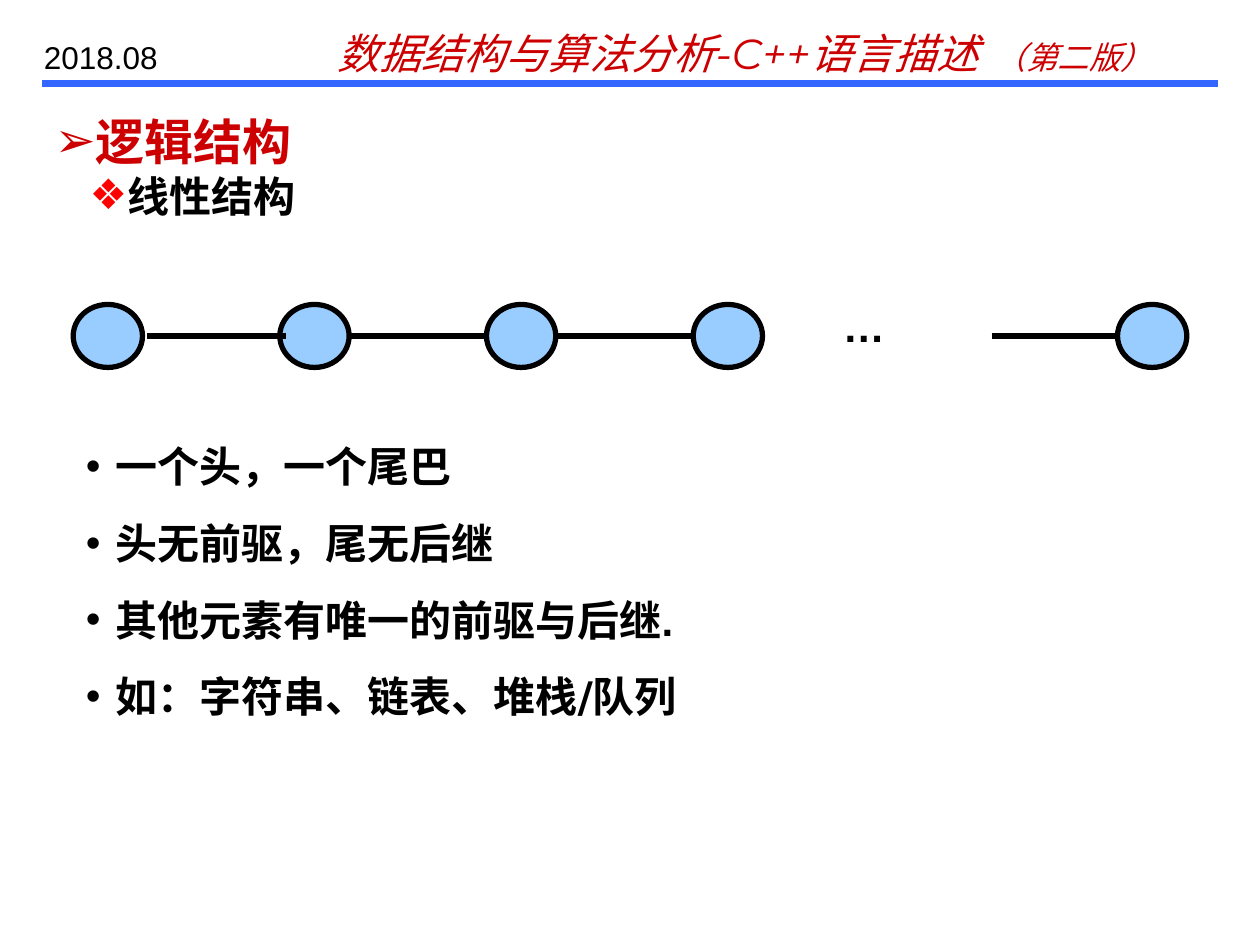
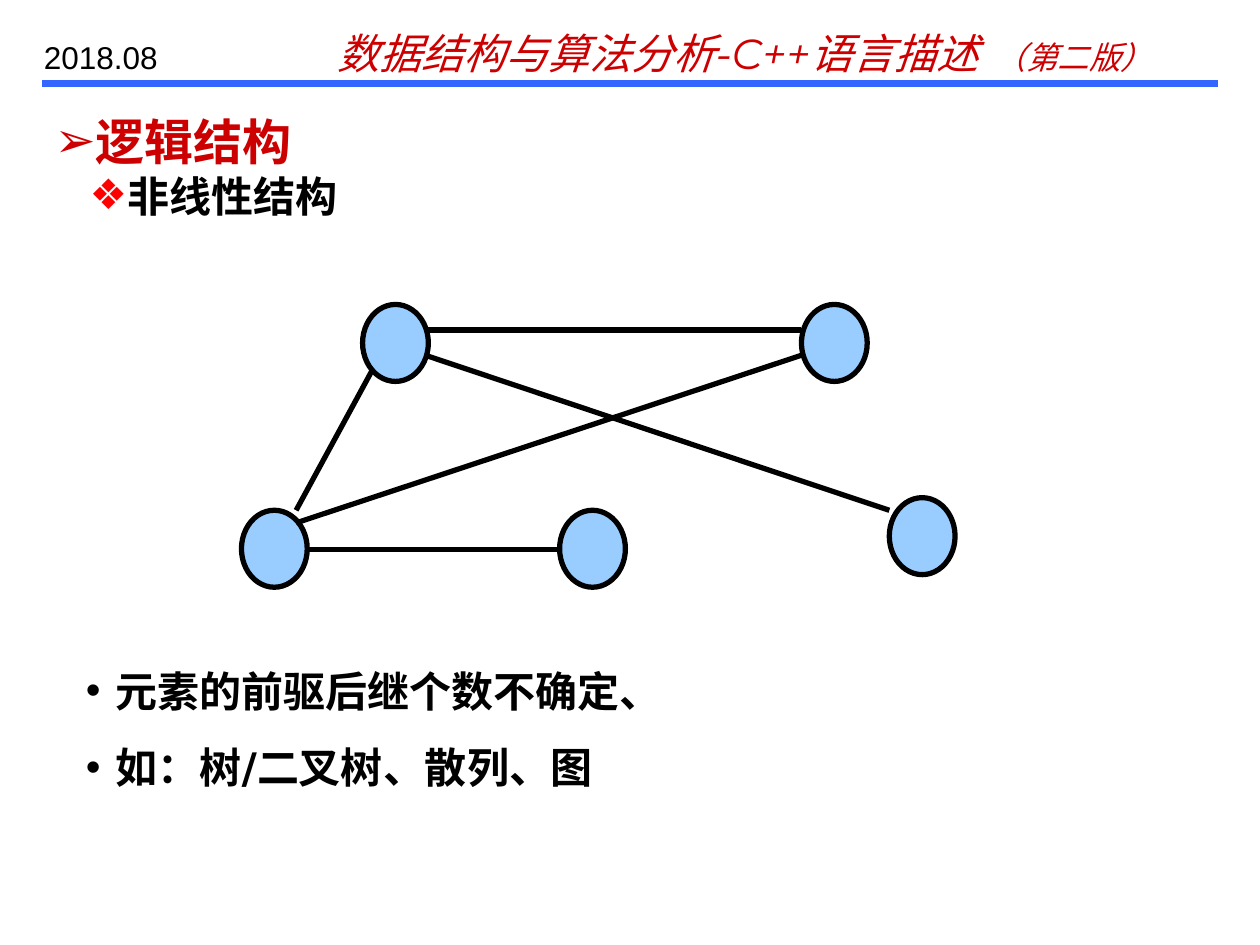
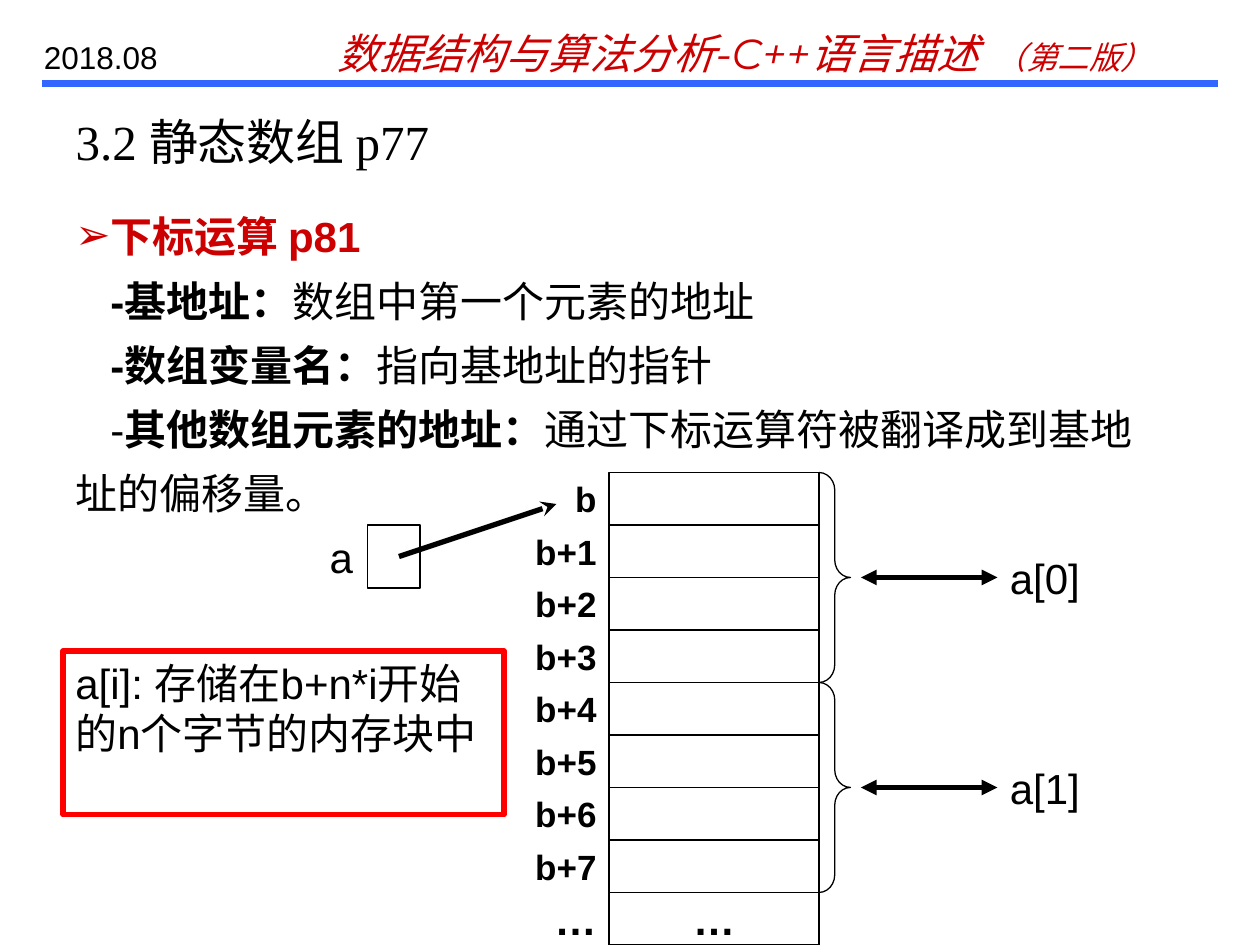
from pptx import Presentation
from pptx.dml.color import RGBColor
from pptx.enum.shapes import MSO_CONNECTOR, MSO_SHAPE
from pptx.enum.text import MSO_ANCHOR, MSO_AUTO_SIZE, PP_ALIGN
from pptx.oxml.ns import qn
from pptx.util import Pt
from lxml.etree import SubElement

BLACK, RED, BRIGHT_RED = "000000", "CC0000", "FF0000"
BLUE, NODE_FILL = "3366FF", "99CCFF"
SYMBOL_FONT = "DejaVu Sans"

# Text formats
PLAIN = dict(size=Pt(24), name="Arial", color=BLACK)
BOLD = dict(PLAIN, bold=True)
BOLD_ALT = dict(BOLD, name=SYMBOL_FONT)
HEADING = dict(BOLD_ALT, size=Pt(28), color=RED)
SECTION = dict(PLAIN, size=Pt(28), name="Times New Roman")
SMALL_BOLD = dict(BOLD, size=Pt(20))
DATE = dict(PLAIN, size=Pt(18))
COURSE = dict(PLAIN, name="Montserrat", color=RED, italic=True)
EDITION = dict(COURSE, size=Pt(18))

# Bullets: character, colour, font, text indent, hanging width
ARROW_LARGE = ("➢", RED, SYMBOL_FONT, 23, 23)
ARROW_SMALL = ("➢", RED, SYMBOL_FONT, 20, 20)
DIAMOND = ("❖", BRIGHT_RED, SYMBOL_FONT, 40, 20)
DOT = ("•", BLACK, "Arial", 17, 17)


def rgb(value):
    return RGBColor.from_string(value)


def box_size(left, top, width, height):
    return Pt(left), Pt(top), Pt(width), Pt(height)


# Text
def add_bullet(para, bullet):
    char, color, font, indent, hanging = bullet
    props = para._p.get_or_add_pPr()
    props.set("marL", str(Pt(indent)))
    props.set("indent", str(-Pt(hanging)))
    SubElement(SubElement(props, qn("a:buClr")), qn("a:srgbClr"), val=color)
    SubElement(props, qn("a:buFont"), typeface=font)
    SubElement(props, qn("a:buChar"), char=char)


def add_spans(para, spans):
    for text, style in spans:
        span = para.add_run()
        span.text = text
        for key, value in style.items():
            if key == "color":
                span.font.color.rgb = rgb(value)
            else:
                setattr(span.font, key, value)


def fill_text(shape, paras, anchor=MSO_ANCHOR.TOP, align=PP_ALIGN.LEFT):
    """Each paragraph is (spans, settings); settings hold bullet, first_indent
    and paragraph attributes."""
    frame = shape.text_frame
    settings = dict(word_wrap=True, auto_size=MSO_AUTO_SIZE.NONE, vertical_anchor=anchor)
    for key, value in settings.items():
        setattr(frame, key, value)
    for index, (spans, layout) in enumerate(paras):
        para = frame.add_paragraph() if index else frame.paragraphs[0]
        para.alignment = align
        for key, value in layout.items():
            if key == "bullet":
                add_bullet(para, value)
            elif key == "first_indent":
                para._p.get_or_add_pPr().set("indent", str(value))
            else:
                setattr(para, key, value)
        add_spans(para, spans)


def add_text(page, area, paras, **options):
    box = page.shapes.add_textbox(*box_size(*area))
    fill_text(box, paras, **options)
    return box


def add_label(page, area, text, style, **options):
    return add_text(page, area, [([(text, style)], {})], **options)


def set_title(page, area, paras):
    title = page.shapes.title
    title.left, title.top, title.width, title.height = box_size(*area)
    fill_text(title, paras)


def add_points(page, area, points):
    layout = dict(space_before=Pt(15), bullet=DOT)
    add_text(page, area, [(spans, layout) for spans in points])


# Shapes and lines
def add_figure(page, kind, area, line=BLACK, width=0.75, fill=None):
    shape = page.shapes.add_shape(kind, *box_size(*area))
    shape.shadow.inherit = False
    if fill:
        shape.fill.solid()
        shape.fill.fore_color.rgb = rgb(fill)
    else:
        shape.fill.background()
    shape.line.color.rgb = rgb(line)
    shape.line.width = Pt(width)
    return shape


def add_node(page, left, top, width, height):
    add_figure(page, MSO_SHAPE.OVAL, (left, top, width, height), width=3, fill=NODE_FILL)


def add_line(page, start_x, start_y, end_x, end_y, color=BLACK, width=3, head=None, tail=None):
    line = page.shapes.add_connector(
        MSO_CONNECTOR.STRAIGHT, Pt(start_x), Pt(start_y), Pt(end_x), Pt(end_y))
    line.line.color.rgb = rgb(color)
    line.line.width = Pt(width)
    outline = line.line._get_or_add_ln()
    for tag, kind in (("a:headEnd", head), ("a:tailEnd", tail)):
        if kind:
            SubElement(outline, qn(tag), type=kind)
    SubElement(line._element.spPr, qn("a:effectLst"))
    return line


# Shared header, kept on the layout
def move_header_to_layout(page):
    layout = page.slide_layout
    for holder in list(layout.placeholders)[1:]:
        holder.element.getparent().remove(holder.element)
    header = [
        add_line(page, 24, 48, 696, 48, color=BLUE, width=4),
        add_text(page, (186, 12, 504, 36),
                 [([("数据结构与算法分析-C++语言描述 ", COURSE), (" （第二版）", EDITION)], {})]),
        add_label(page, (18, 18, 102, 29), "2018.08", DATE),
    ]
    for shape in header:
        layout.element.cSld.spTree.append(shape.element)


def set_structure_title(page, kind):
    set_title(page, (24, 60, 696, 70), [
        ([("逻辑结构", HEADING)], dict(bullet=ARROW_LARGE)),
        ([(kind, BOLD_ALT)], dict(bullet=DIAMOND)),
    ])


# Slides
def draw_linear(page):
    set_structure_title(page, "线性结构")
    for left in [41.8 + 118.1 * i for i in range(4)] + [638.6]:
        add_node(page, left, 174, 39.6, 36)
    for start, end in ((84, 163.4), (199.4, 278.6), (317.5, 396), (566.6, 638.6)):
        add_line(page, start, 192, end, 192)
    add_label(page, (474.5, 168, 85, 36), "…", BOLD)
    add_points(page, (42, 248.4, 660, 168), [
        [("一个头，一个尾巴", BOLD)],
        [("头无前驱，尾无后继", BOLD)],
        [("其他元素有唯一的前驱与后继.", BOLD)],
        [("如：", BOLD), ("字符串、链表、堆栈/队列", BOLD_ALT)],
    ])


def draw_nonlinear(page):
    set_structure_title(page, "非线性结构")
    add_points(page, (42, 376.6, 600, 80), [
        [("元素的前驱后继个数不确定、", BOLD)],
        [("如：", BOLD), ("树/二叉树、散列、图", BOLD_ALT)],
    ])
    nodes = ((207.2, 174), (138, 291.6), (319.8, 291.6), (458, 174), (508.2, 284.4))
    for left, top in nodes:
        add_node(page, left, top, 37.6, 44)
    edges = (
        (244.8, 188.6, 458, 188.6),
        (213, 211, 169.2, 291.6),
        (175.6, 313.8, 319.8, 313.8),
        (169.2, 298.8, 458, 203),
        (244.8, 203.6, 508.2, 291.6),
    )
    for edge in edges:
        add_line(page, *edge)


def draw_array(page):
    set_title(page, (36, 60, 648, 42), [([("3.2 静态数组 p77", SECTION)], {})])
    item = dict(space_before=Pt(15), line_spacing=0.75)
    dashed = dict(item, first_indent=Pt(20))
    add_text(page, (36, 116.6, 642, 183), [
        ([("下标运算 p81", dict(BOLD, color=RED))],
         dict(space_before=Pt(15), bullet=ARROW_SMALL)),
        ([("-基地址：", BOLD), ("数组中第一个元素的地址", PLAIN)], dashed),
        ([("-数组变量名：", BOLD), ("指向基地址的指针", PLAIN)], dashed),
        ([("-", PLAIN), ("其他数组元素的地址：", BOLD),
          ("通过下标运算符被翻译成到基地", PLAIN)], dashed),
        ([("址的偏移量。", PLAIN)], item),
    ])

    # Memory cells with their addresses
    top, row = 270, 30
    middle = MSO_ANCHOR.MIDDLE
    addresses = ["b"] + [f"b+{i}" for i in range(1, 8)] + ["…"]
    for index, address in enumerate(addresses):
        y = top + row * index
        cell = add_figure(page, MSO_SHAPE.RECTANGLE, (348, y, 120, row))
        style = SMALL_BOLD
        if address == "…":
            style = BOLD
            fill_text(cell, [([(address, style)], {})], anchor=middle, align=PP_ALIGN.CENTER)
        add_label(page, (294, y, 54, row), address, style, anchor=middle, align=PP_ALIGN.RIGHT)

    # Pointer to the base address
    add_line(page, 228, 318, 318, 288, tail="stealth")
    add_figure(page, MSO_SHAPE.RECTANGLE, (210, 300, 30, 36))
    add_label(page, (180, 300, 30, 36), "a", PLAIN, anchor=middle, align=PP_ALIGN.CENTER)

    # Elements of four bytes each
    span = 4 * row
    for index in range(2):
        y = top + span * index
        brace = add_figure(page, MSO_SHAPE.RIGHT_BRACE, (468, y, 18, span))
        brace.adjustments[0] = 0.56
        center = y + span / 2
        add_line(page, 492, center, 570, center, head="triangle", tail="triangle")
        add_label(page, (570, center - 18, 66, 36), f"a[{index}]", PLAIN)

    note = add_figure(page, MSO_SHAPE.RECTANGLE, (36, 372, 252, 93.6), line=BRIGHT_RED, width=3)
    fill_text(note, [([("a[i]: 存储在b+n*i开始的n个字节的内存块中", PLAIN)], {})])


def main():
    deck = Presentation()
    deck.slide_width, deck.slide_height = Pt(720), Pt(540)
    title_only = deck.slide_layouts[5]
    for index, draw in enumerate((draw_linear, draw_nonlinear, draw_array)):
        page = deck.slides.add_slide(title_only)
        if index == 0:
            move_header_to_layout(page)
        draw(page)
    deck.save("out.pptx")


if __name__ == "__main__":
    main()
